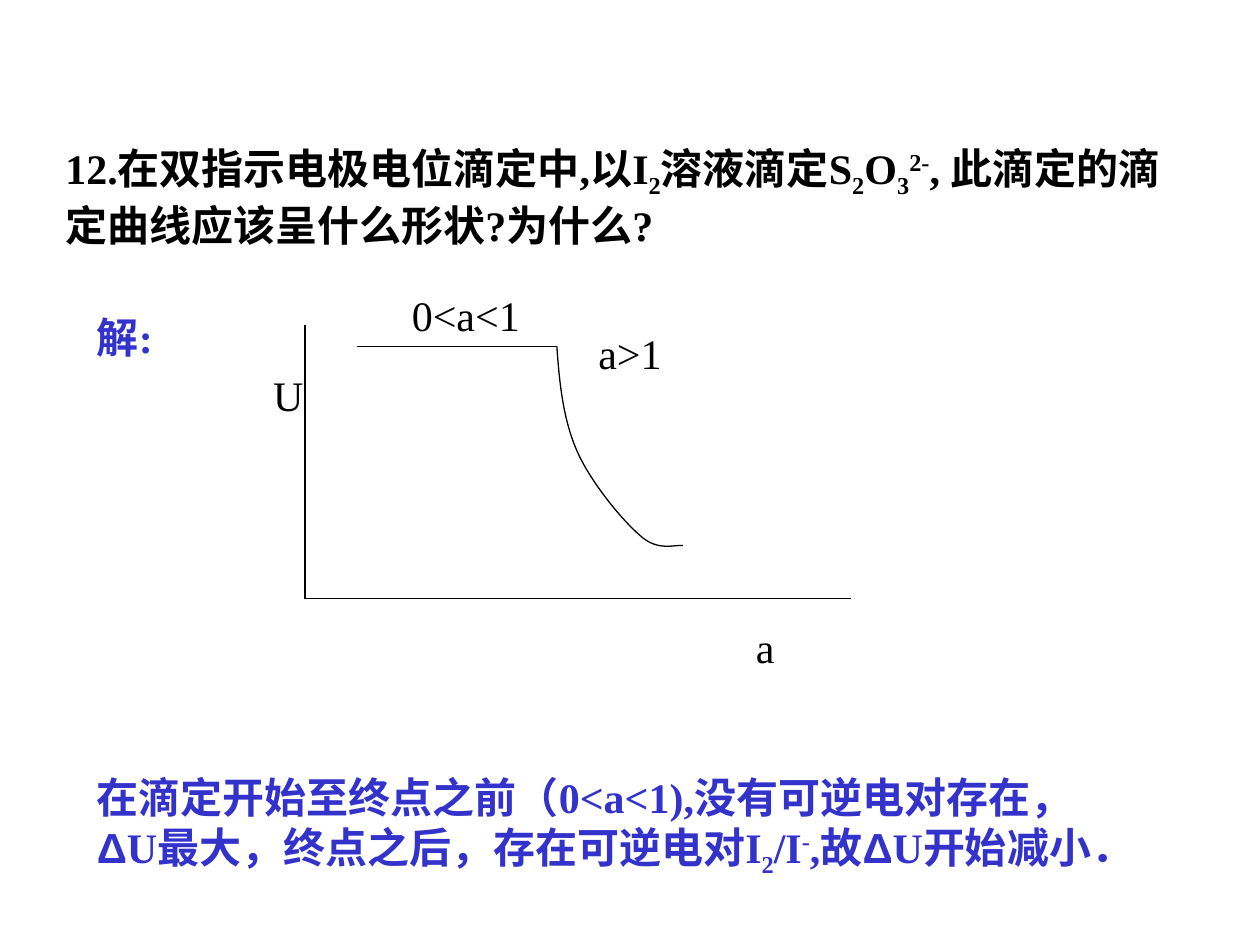
from pptx import Presentation
from pptx import util as u
from pptx.dml.color import RGBColor
from pptx.enum import shapes, text
from lxml import etree

BLACK, BLUE = "000000", "3333CC"
SUB, SUP = -25, 30  # baseline shift in percent


def color(value):
    return RGBColor.from_string(value)


def add_run(p, content, font="Times New Roman", size=24, fill=BLACK,
            bold=False, shift=0):
    r = p.add_run()
    r.text = content
    r.font.name = font
    r.font.size = u.Pt(size)
    r.font.bold = bold
    r.font.color.rgb = color(fill)
    if shift:
        r._r.get_or_add_rPr().set("baseline", str(shift * 1000))


def bezier(p0, p1, p2, p3, steps=16):
    """Points along a cubic curve, without its start."""
    for i in range(1, steps + 1):
        t = i / steps
        v = 1 - t
        yield tuple(v**3 * a + 3 * v * v * t * b + 3 * v * t * t * c + t**3 * d
                    for a, b, c, d in zip(p0, p1, p2, p3))


class Deck:
    line_color = BLACK
    line_width = u.Pt(0.75)

    def __init__(self, prs):
        self.s = prs.slides.add_slide(prs.slide_layouts[6])

    def text(self, x, y, w, h, runs, wrap=True, **style):
        sp = self.s.shapes.add_textbox(*map(u.Inches, (x, y, w, h)))
        tf = sp.text_frame
        tf.word_wrap = wrap
        tf.auto_size = text.MSO_AUTO_SIZE.SHAPE_TO_FIT_TEXT
        p = tf.paragraphs[0]
        for content, extra in runs:
            add_run(p, content, **{**style, **extra})

    def stroke(self, sp):
        sp.line.color.rgb = color(self.line_color)
        sp.line.width = self.line_width

    def line(self, x1, y1, x2, y2):
        sp = self.s.shapes.add_connector(
            shapes.MSO_CONNECTOR.STRAIGHT, *map(u.Inches, (x1, y1, x2, y2)))
        self.stroke(sp)
        ns = "{http://schemas.openxmlformats.org/drawingml/2006/main}"
        etree.SubElement(sp._element.spPr, ns + "effectLst")

    def curve(self, start, *segments):
        points = [start]
        for c1, c2, end in segments:
            points += bezier(points[-1], c1, c2, end)
        # The builder rounds to whole units, so work in EMU
        points = [(u.Inches(x), u.Inches(y)) for x, y in points]
        fb = self.s.shapes.build_freeform(*points[0])
        fb.add_line_segments(points[1:], close=False)
        sp = fb.convert_to_shape()
        sp.shadow.inherit = False
        sp.fill.background()
        self.stroke(sp)


def main():
    prs = Presentation()
    prs.slide_width, prs.slide_height = u.Inches(10), u.Inches(7.5)
    deck = Deck(prs)
    sub, sup, arial = {"shift": SUB}, {"shift": SUP}, {"font": "Arial"}

    # Question
    deck.text(0.42, 1.08, 9, 0.96, [
        ("12.在双指示电极电位滴定中,以I", {}), ("2", sub),
        ("溶液滴定S", {}), ("2", sub), ("O", {}), ("3", sub), ("2-", sup),
        (", 此滴定的滴定曲线应该呈什么形状?为什么?", {})], bold=True)

    # Answer
    deck.text(0.67, 2.42, 1.2, 0.5, [("解:", {})], bold=True, fill=BLUE)
    deck.text(0.67, 6.07, 8.4, 1.38, [
        ("在滴定开始至终点之前（0<a<1),没有可逆电对存在，", {}),
        ("Δ", arial), ("U最大，终点之后，存在可逆电对I", {}), ("2", sub),
        ("/I", {}), ("-", sup), (",故", {}), ("Δ", arial),
        ("U开始减小．", {})], bold=True, fill=BLUE)

    # Axes and titration curve
    deck.line(2.42, 2.58, 2.42, 4.75)
    deck.line(2.42, 4.75, 6.75, 4.75)
    deck.line(2.83, 2.75, 4.42, 2.75)
    deck.curve((4.42, 2.75),
               ((4.44, 3.04), (4.47, 3.33), (4.58, 3.58)),
               ((4.69, 3.83), (4.94, 4.13), (5.08, 4.25)),
               ((5.22, 4.38), (5.36, 4.32), (5.42, 4.33)))

    # Graph labels
    for label, x, y, w in (("U", 2.07, 2.88, 0.44), ("a", 5.9, 4.88, 0.35),
                           ("0<a<1", 3.17, 2.25, 1.1),
                           ("a>1", 4.65, 2.55, 0.7)):
        deck.text(x, y, w, 0.5, [(label, {})], wrap=False)

    prs.save("out.pptx")


if __name__ == "__main__":
    main()
